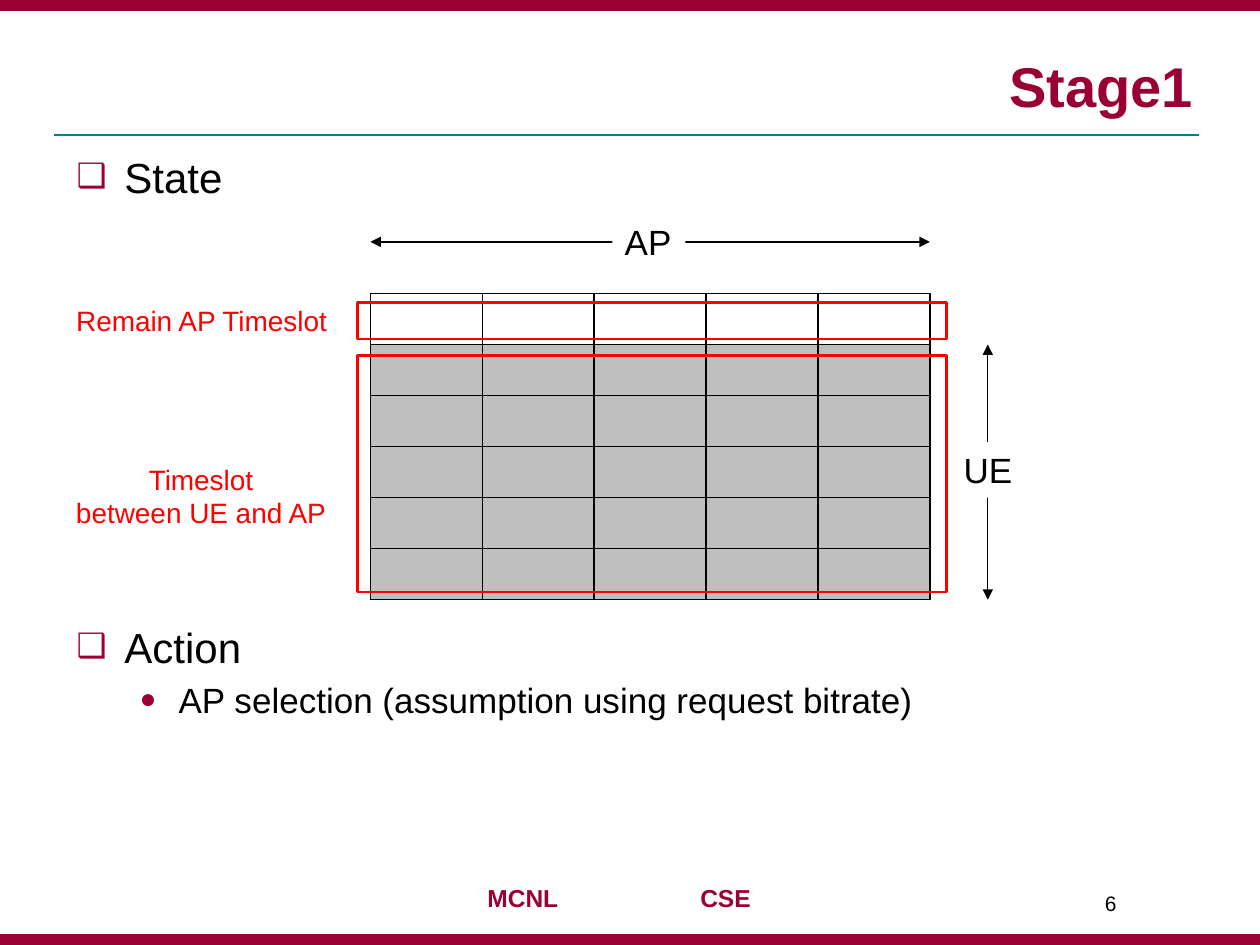
from dataclasses import dataclass

from lxml.etree import SubElement
from pptx import Presentation
from pptx.dml.color import RGBColor
from pptx.enum.shapes import MSO_CONNECTOR as Conn, MSO_SHAPE as Shape
from pptx.enum.text import MSO_ANCHOR as Anchor, PP_ALIGN as Align
from pptx.oxml.ns import qn
from pptx.util import Inches, Pt

COLORS = {"maroon": "990033", "teal": "008080", "black": "000000",
          "white": "FFFFFF", "gray": "BFBFBF", "red": "FF0000"}
FONT = "Arial"
COLS, ROWS = 5, 6
LEFT, TOP, WIDTH, HEIGHT = 2.94, 2.33, 4.44, 2.43


@dataclass
class Box:
    left: float
    top: float
    width: float
    height: float

    def emu(self) -> list:
        return [Inches(v) for v in (self.left, self.top, self.width, self.height)]


@dataclass
class Bullet:
    char: str
    margin: float
    hang: float


SQUARE = Bullet("❑", 0.38, 0.38)
DOT = Bullet("●", 0.81, 0.31)


def rgb(name: str) -> RGBColor:
    return RGBColor.from_string(COLORS[name])


def add_bullet(p, bullet: Bullet) -> None:
    pPr = p._p.get_or_add_pPr()
    pPr.set("marL", str(Inches(bullet.margin)))
    pPr.set("indent", str(-Inches(bullet.hang)))
    clr = SubElement(pPr, qn("a:buClr"))
    SubElement(clr, qn("a:srgbClr"), val=COLORS["maroon"])
    SubElement(pPr, qn("a:buSzPct"), val="80000")
    SubElement(pPr, qn("a:buFont"), typeface=FONT)
    SubElement(pPr, qn("a:buChar"), char=bullet.char)


def write(p, text: str, *, size=20, color="black", bold=False,
          align=Align.LEFT, bullet=None, before=0) -> None:
    if bullet:
        add_bullet(p, bullet)
    p.alignment = align
    p.space_before = Pt(before)
    r = p.add_run()
    r.text = text
    r.font.name = FONT
    r.font.size = Pt(size)
    r.font.bold = bold
    r.font.color.rgb = rgb(color)


def add_text(s, box: Box, *lines: str, wrap=False, fill=None, anchor=Anchor.TOP, **fmt):
    sp = s.shapes.add_textbox(*box.emu())
    if fill:
        sp.fill.solid()
        sp.fill.fore_color.rgb = rgb(fill)
    tf = sp.text_frame
    tf.word_wrap = wrap
    tf.vertical_anchor = anchor
    for i, line in enumerate(lines):
        write(tf.add_paragraph() if i else tf.paragraphs[0], line, **fmt)
    return tf


def add_rect(s, box: Box, line: str, weight: float, fill=None) -> None:
    sp = s.shapes.add_shape(Shape.RECTANGLE, *box.emu())
    sp.shadow.inherit = False
    if fill:
        sp.fill.solid()
        sp.fill.fore_color.rgb = rgb(fill)
    else:
        sp.fill.background()
    sp.line.color.rgb = rgb(line)
    sp.line.width = Pt(weight)


def add_line(s, x1: float, y1: float, x2: float, y2: float,
             color: str, weight: float, arrows=False) -> None:
    sp = s.shapes.add_connector(Conn.STRAIGHT, *map(Inches, (x1, y1, x2, y2)))
    sp.line.color.rgb = rgb(color)
    sp.line.width = Pt(weight)
    if arrows:
        ln = sp.line._get_or_add_ln()
        for end in ("a:headEnd", "a:tailEnd"):
            SubElement(ln, qn(end), type="triangle")
    SubElement(sp._element.spPr, qn("a:effectLst"))


def add_borders(cell) -> None:
    tcPr = cell._tc.get_or_add_tcPr()
    for side in ("a:lnL", "a:lnR", "a:lnT", "a:lnB"):
        ln = SubElement(tcPr, qn(side), w=str(Pt(1)))
        fill = SubElement(ln, qn("a:solidFill"))
        SubElement(fill, qn("a:srgbClr"), val=COLORS["black"])


def add_state_table(s) -> None:
    box = Box(LEFT, TOP, WIDTH, HEIGHT)
    table = s.shapes.add_table(ROWS, COLS, *box.emu()).table
    table.first_row = table.horz_banding = False
    for col in table.columns:
        col.width = Inches(WIDTH / COLS)
    for i, row in enumerate(table.rows):
        row.height = Inches(HEIGHT / ROWS)
        for cell in row.cells:
            add_borders(cell)
            if i:
                cell.fill.solid()
                cell.fill.fore_color.rgb = rgb("gray")
            else:
                cell.fill.background()


def main() -> None:
    prs = Presentation()
    prs.slide_width, prs.slide_height = Inches(10), Inches(7.5)
    s = prs.slides.add_slide(prs.slide_layouts[6])

    add_line(s, 0.43, 1.07, 9.52, 1.07, "teal", 1)
    for top in (7.42, 0):
        add_rect(s, Box(0, top, 10, 0.08), "maroon", 0.75, "maroon")
    for text, left, width in (("MCNL", 3.77, 0.76), ("CSE", 5.46, 0.6)):
        add_text(s, Box(left, 6.96, width, 0.34), text, size=14, color="maroon", bold=True)
    add_text(s, Box(0.5, 0.25, 9.07, 0.74), "Stage1", wrap=True, anchor=Anchor.BOTTOM,
             size=32, color="maroon", bold=True, align=Align.RIGHT)
    add_text(s, Box(8.67, 7.02, 0.83, 0.4), "6", wrap=True, size=12)

    add_text(s, Box(0.51, 1.15, 9, 0.5), "State", wrap=True, size=24, bullet=SQUARE)
    tf = add_text(s, Box(0.51, 4.88, 9, 1.94), "Action", wrap=True, size=24, bullet=SQUARE)
    write(tf.add_paragraph(), "AP selection (assumption using request bitrate)",
          bullet=DOT, before=4)

    add_line(s, LEFT, 1.92, LEFT + WIDTH, 1.92, "black", 0.75, arrows=True)
    add_state_table(s)
    add_text(s, Box(4.86, 1.7, 0.58, 0.44), "AP", fill="white")
    add_line(s, 7.84, TOP + HEIGHT / ROWS, 7.84, TOP + HEIGHT, "black", 0.75, arrows=True)
    add_text(s, Box(7.55, 3.51, 0.59, 0.44), "UE", fill="white")

    for top, height in ((2.4, 0.29), (2.82, 1.88)):
        add_rect(s, Box(2.84, top, 4.67, height), "red", 1.5)
    note = dict(fill="white", size=16, color="red", align=Align.CENTER)
    add_text(s, Box(0.49, 2.36, 2.22, 0.37), "Remain AP Timeslot", **note)
    add_text(s, Box(0.49, 3.62, 2.21, 0.64), "Timeslot", "between UE and AP", **note)

    prs.save("out.pptx")


if __name__ == "__main__":
    main()
